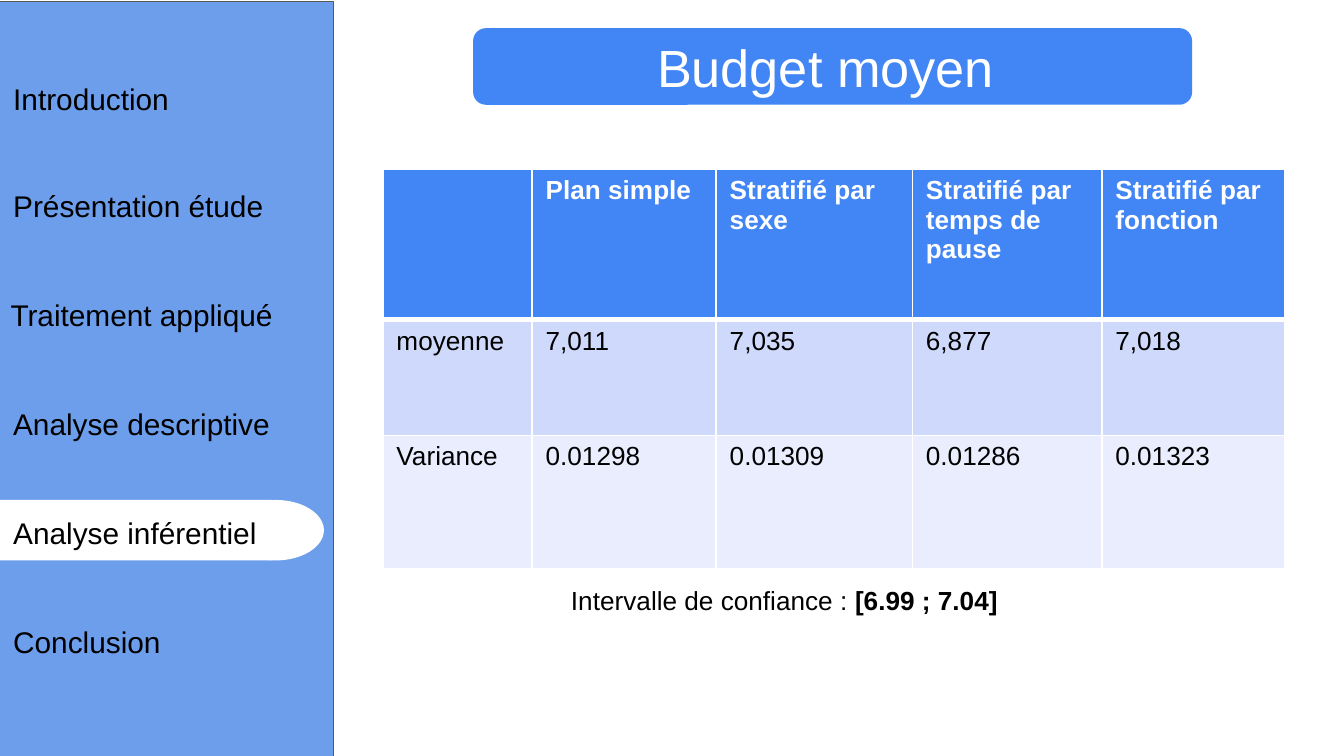
from lxml import etree
from pptx import Presentation
from pptx.dml.color import RGBColor
from pptx.enum import shapes, text
from pptx.oxml import ns
from pptx.util import Pt

PX = 9144
BLACK = RGBColor(0, 0, 0)
WHITE = RGBColor(255, 255, 255)
GREY = RGBColor(0x59, 0x59, 0x59)
SKY = RGBColor(0x6D, 0x9E, 0xEB)
BLUE = RGBColor(0x42, 0x85, 0xF4)
PALE = RGBColor(0xCF, 0xD9, 0xFB)
MIST = RGBColor(0xE9, 0xED, 0xFD)

TITLE = "Budget moyen "
MENU = [
    ("Introduction", 0, 168),
    ("Présentation étude", 0, 259),
    ("Traitement appliqué", -2, 225),
    ("Analyse descriptive", 0, 234),
    ("Analyse inférentiel", 0, 232),
    ("Conclusion", 0, 168),
]
MENU_TOP, MENU_END = 50, 454
ROWS = [
    ("", "Plan simple", "Stratifié par sexe", "Stratifié par temps de pause",
     "Stratifié par fonction"),
    ("moyenne", "7,011", "7,035", "6,877", "7,018"),
    ("Variance", "0.01298", "0.01309", "0.01286", "0.01323"),
]
WIDTHS = [111, 137, 146, 141, 136]
HEIGHTS = [112, 86, 99]
FILLS = [BLUE, PALE, MIST]
NOTE = [("Intervalle de confiance :", False), (" [6.99 ; 7.04]", True)]

deck = Presentation()
deck.slide_width = 1000 * PX
deck.slide_height = deck.slide_width * 9 // 16
slide = deck.slides.add_slide(deck.slide_layouts[6])


def scale(*box):
    return [n * PX for n in box]


def write(para, words, size, color=BLACK, bold=False):
    run = para.add_run()
    run.text = words
    font = run.font
    font.name, font.size, font.bold = "Arial", Pt(size), bold
    font.color.rgb = color


def draw(kind, box, fill, line=None):
    shape = slide.shapes.add_shape(kind, *scale(*box))
    shape.shadow.inherit = False
    shape.fill.solid()
    shape.fill.fore_color.rgb = fill
    if line:
        shape.line.color.rgb = line
        shape.line.width = Pt(0.75)
    else:
        shape.line.fill.background()
    return shape


def label(box, inset=None):
    frame = slide.shapes.add_textbox(*scale(*box)).text_frame
    frame.word_wrap = True
    if inset:
        frame.margin_left = frame.margin_right = inset * PX
        frame.margin_top = frame.margin_bottom = inset * PX
    return frame.paragraphs[0]


def edge(cell, side, points):
    line = etree.Element(ns.qn("a:" + side), w=str(Pt(points)))
    fill = etree.SubElement(line, ns.qn("a:solidFill"))
    etree.SubElement(fill, ns.qn("a:srgbClr"), val=str(WHITE))
    cell._tc.get_or_add_tcPr().insert(0, line)


kinds = shapes.MSO_SHAPE
draw(kinds.RECTANGLE, (-2, 1, 250, 562), SKY, GREY)
draw(kinds.RECTANGLE, (-2, 372, 204, 45), WHITE)
draw(kinds.OVAL, (169, 372, 72, 45), WHITE)

for i, (words, left, width) in enumerate(MENU):
    top = MENU_TOP + i * (MENU_END - MENU_TOP) // (len(MENU) - 1)
    write(label((left, top, width, 44), 10), words, 16)

frame = draw(kinds.ROUNDED_RECTANGLE, (352, 21, 535, 57), BLUE).text_frame
frame.vertical_anchor = text.MSO_ANCHOR.MIDDLE
head = frame.paragraphs[0]
head.alignment = text.PP_ALIGN.CENTER
write(head, TITLE, 28, WHITE)

box = scale(285, 126, sum(WIDTHS), sum(HEIGHTS))
table = slide.shapes.add_table(len(ROWS), len(WIDTHS), *box).table
for col, width in zip(table.columns, WIDTHS):
    col.width = width * PX
for r, (row, height, fill) in enumerate(zip(ROWS, HEIGHTS, FILLS)):
    table.rows[r].height = height * PX
    for c, words in enumerate(row):
        cell = table.cell(r, c)
        cell.fill.solid()
        cell.fill.fore_color.rgb = fill
        for side in ("lnB", "lnT", "lnR", "lnL"):
            thick = (r, side) in ((0, "lnB"), (1, "lnT"))
            edge(cell, side, 3 if thick else 1)
        if words:
            color = BLACK if r else WHITE
            write(cell.text_frame.paragraphs[0], words, 14, color, r == 0)

note = label((415, 430, 415, 34))
for words, bold in NOTE:
    write(note, words, 14, bold=bold)

deck.save("out.pptx")
